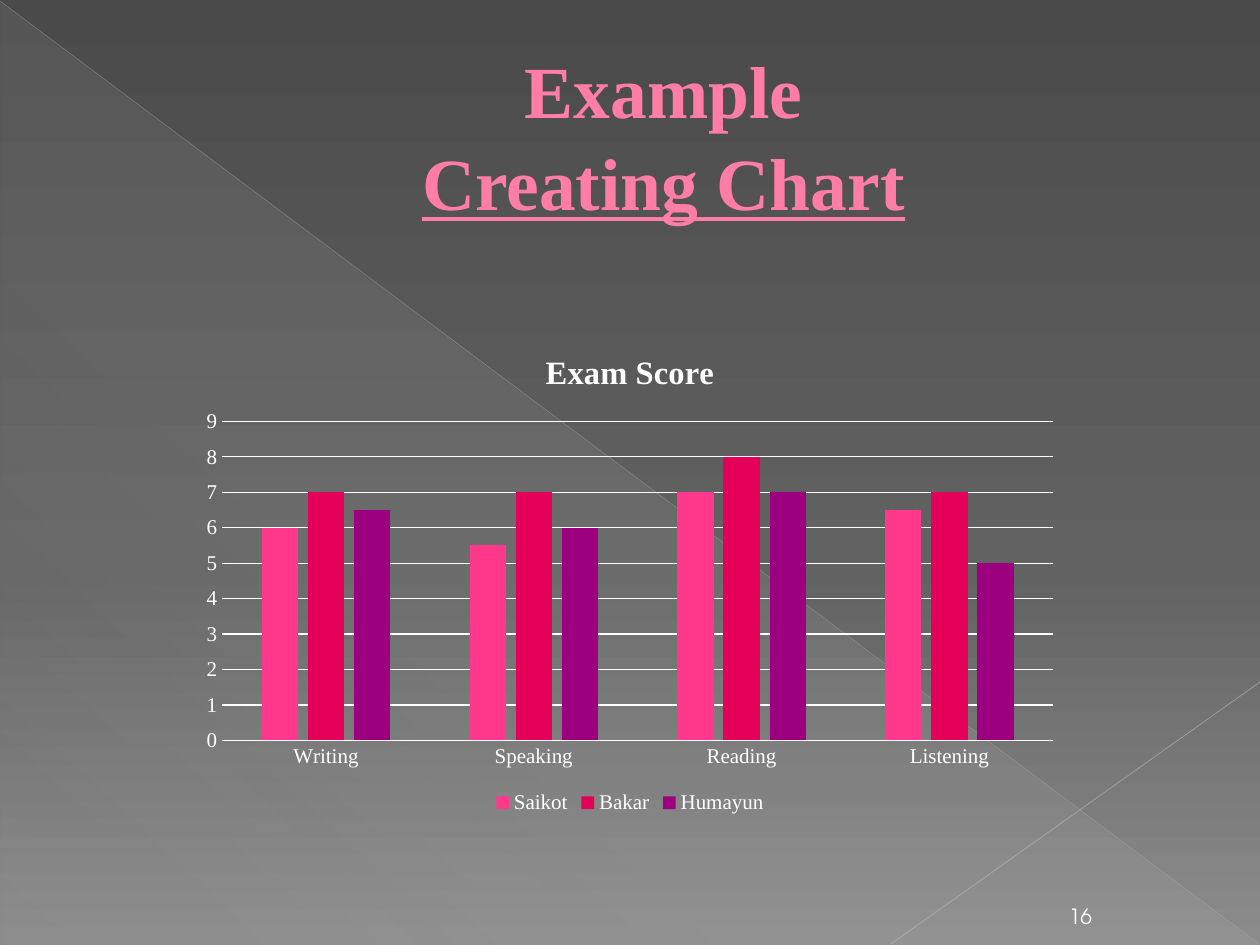
from dataclasses import dataclass

from lxml import etree
from pptx import Presentation
from pptx.chart.data import CategoryChartData
from pptx.dml.color import RGBColor
from pptx.enum.chart import XL_CHART_TYPE, XL_LEGEND_POSITION, XL_TICK_MARK
from pptx.enum.shapes import MSO_CONNECTOR, MSO_SHAPE
from pptx.enum.text import MSO_ANCHOR, PP_ALIGN
from pptx.oxml.ns import qn
from pptx.util import Pt

COLUMNS = XL_CHART_TYPE.COLUMN_CLUSTERED
LEGEND_BOTTOM = XL_LEGEND_POSITION.BOTTOM
NO_TICK = XL_TICK_MARK.NONE
STRAIGHT = MSO_CONNECTOR.STRAIGHT
RIGHT_TRIANGLE = MSO_SHAPE.RIGHT_TRIANGLE
MIDDLE, BOTTOM = MSO_ANCHOR.MIDDLE, MSO_ANCHOR.BOTTOM
CENTER = PP_ALIGN.CENTER

EMU_PER_PX = 914400 / 126
SLIDE_SIZE = (1260, 945)


@dataclass(frozen=True)
class Theme:
    serif: str = "Times New Roman"
    sans: str = "TeX Gyre Adventor"
    text: str = "FFFFFF"
    title: str = "FF7DA7"
    title_outline: str = "B12761"
    series: tuple = ("FF388C", "E40059", "9C007F")
    # Gradient stops are (position %, colour, opacity %)
    background: tuple = ((0, "4A4A4A", 100), (60, "626262", 100), (100, "8C8C8C", 100))
    triangle: tuple = ((0, "D2D2D2", 10), (70, "D2D2D2", 8), (100, "D2D2D2", 1))
    falling_line: str = "BFBFBF"
    rising_line: str = "C6C6C6"
    title_size: float = 42
    chart_title_size: float = 18.6
    label_size: float = 12
    chart_size: float = 10


THEME = Theme()

CATEGORIES = ("Writing", "Speaking", "Reading", "Listening")
SCORES = {
    "Saikot": (6, 5.5, 7, 6.5),
    "Bakar": (7, 7, 8, 7),
    "Humayun": (6.5, 6, 7, 5),
}


def px(*lengths):
    return [round(length * EMU_PER_PX) for length in lengths]


def add_alpha(color_element, opacity):
    etree.SubElement(color_element, qn("a:alpha"), val=str(opacity * 1000))


def set_gradient(fill, owner, stops, angle):
    """Give the fill found inside owner the stops and a clockwise angle."""
    fill.gradient()
    gradient = next(owner.iter(qn("a:gradFill")))
    stop_list = gradient.find(qn("a:gsLst"))
    for old_stop in list(stop_list):
        stop_list.remove(old_stop)
    for position, color, opacity in stops:
        stop = etree.SubElement(stop_list, qn("a:gs"), pos=str(position * 1000))
        color_element = etree.SubElement(stop, qn("a:srgbClr"), val=color)
        if opacity < 100:
            add_alpha(color_element, opacity)
    gradient.find(qn("a:lin")).set("ang", str(angle * 60000))


def format_font(font, size=THEME.label_size, name=THEME.serif, color=THEME.text,
                bold=False, underline=False):
    font.size, font.name = Pt(size), name
    font.bold, font.underline = bold, underline
    font.color.rgb = RGBColor.from_string(color)


def add_text(paragraph, text, **font_format):
    run = paragraph.add_run()
    run.text = text
    format_font(run.font, **font_format)
    return run


def add_line(slide, start, end, color, width, opacity):
    line = slide.shapes.add_connector(STRAIGHT, *px(*start, *end))
    line.line.width = Pt(width)
    line.line.color.rgb = RGBColor.from_string(color)
    add_alpha(next(line.line._get_or_add_ln().iter(qn("a:srgbClr"))), opacity)
    etree.SubElement(line.element.spPr, qn("a:effectLst"))


def add_backdrop(slide, width, height):
    background = slide.background
    set_gradient(background.fill, slide.element, THEME.background, 90)
    triangle = slide.shapes.add_shape(RIGHT_TRIANGLE, *px(1, 2, width - 2, height - 2))
    triangle.shadow.inherit = False
    set_gradient(triangle.fill, triangle.element, THEME.triangle, 133)
    triangle.line.fill.background()
    add_line(slide, (0, 1), (width - 1, height - 1), THEME.falling_line, 0.39, 35)
    add_line(slide, (width, 682), (891, height - 1), THEME.rising_line, 0.47, 45)


def add_title(slide, box):
    title = slide.shapes.title
    title.left, title.top, title.width, title.height = px(*box)
    slide.shapes.element.append(title.element)  # in front of the backdrop
    frame = title.text_frame
    frame.word_wrap, frame.vertical_anchor = True, MIDDLE
    paragraph = frame.paragraphs[0]
    paragraph.alignment, paragraph.line_spacing = CENTER, 1.04
    indent = px(67)[0]
    properties = paragraph._p.get_or_add_pPr()
    properties.set("marL", str(indent))
    properties.set("indent", "0")
    style = dict(size=THEME.title_size, color=THEME.title, bold=True)
    first = add_text(paragraph, "Example", **style)
    paragraph.add_line_break()
    second = add_text(paragraph, "Creating Chart", underline=True, **style)
    for run in (first, second):
        outline = etree.Element(qn("a:ln"), w=str(Pt(0.5)))
        fill = etree.SubElement(outline, qn("a:solidFill"))
        etree.SubElement(fill, qn("a:srgbClr"), val=THEME.title_outline)
        run.font._element.insert(0, outline)


def add_slide_number(slide, box, number):
    frame = slide.shapes.add_textbox(*px(*box)).text_frame
    frame.word_wrap, frame.vertical_anchor = True, BOTTOM
    paragraph = frame.paragraphs[0]
    paragraph.alignment = CENTER
    add_text(paragraph, str(number), name=THEME.sans)


def format_line(line):
    line.width = Pt(0.75)
    line.color.rgb = RGBColor.from_string(THEME.text)


def add_score_chart(slide, box):
    data = CategoryChartData()
    data.categories = CATEGORIES
    for name, values in SCORES.items():
        data.add_series(name, values)
    chart = slide.shapes.add_chart(COLUMNS, *px(*box), data).chart
    format_font(chart.font, size=THEME.chart_size, name=THEME.sans)

    chart.has_title = True
    add_text(chart.chart_title.text_frame.paragraphs[0], "Exam Score",
             size=THEME.chart_title_size, bold=True)
    chart.chart_title.include_in_layout = False

    chart.has_legend = True
    chart.legend.position = LEGEND_BOTTOM
    chart.legend.include_in_layout = False
    format_font(chart.legend.font)

    for axis in (chart.category_axis, chart.value_axis):
        axis.major_tick_mark = axis.minor_tick_mark = NO_TICK
        format_font(axis.tick_labels.font)
    format_line(chart.category_axis.format.line)
    value_axis = chart.value_axis
    value_axis.format.line.fill.background()
    value_axis.minimum_scale, value_axis.maximum_scale = 0, 9
    value_axis.major_unit = 1
    value_axis.has_major_gridlines = True
    format_line(value_axis.major_gridlines.format.line)

    plot = chart.plots[0]
    plot.gap_width, plot.overlap, plot.vary_by_categories = 219, -27, False
    for series, color in zip(plot.series, THEME.series):
        series.format.fill.solid()
        series.format.fill.fore_color.rgb = RGBColor.from_string(color)


def main():
    presentation = Presentation()
    presentation.slide_width, presentation.slide_height = px(*SLIDE_SIZE)
    slide = presentation.slides.add_slide(presentation.slide_layouts[5])
    add_backdrop(slide, *SLIDE_SIZE)
    add_title(slide, (63, 37, 1134, 193))
    add_slide_number(slide, (1046, 893, 69, 42), 16)
    add_score_chart(slide, (189, 329, 882, 490))
    presentation.save("out.pptx")


if __name__ == "__main__":
    main()
